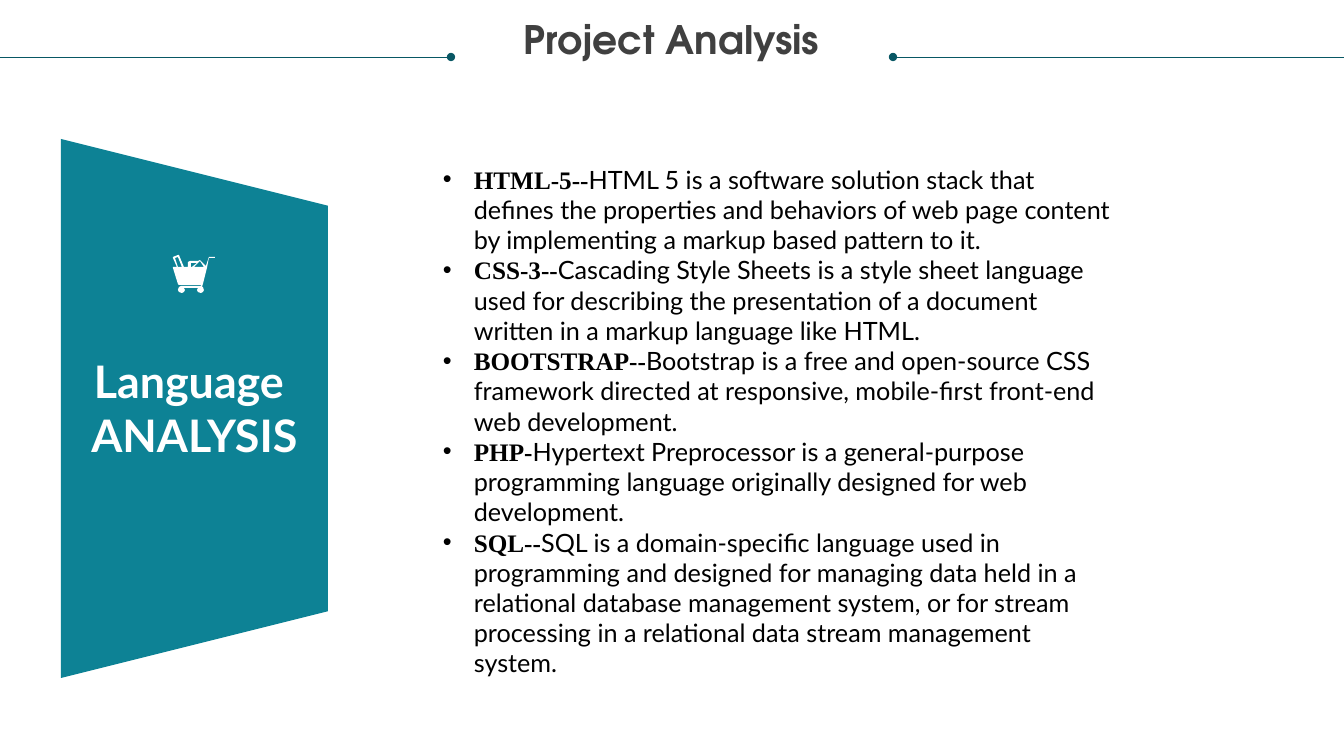
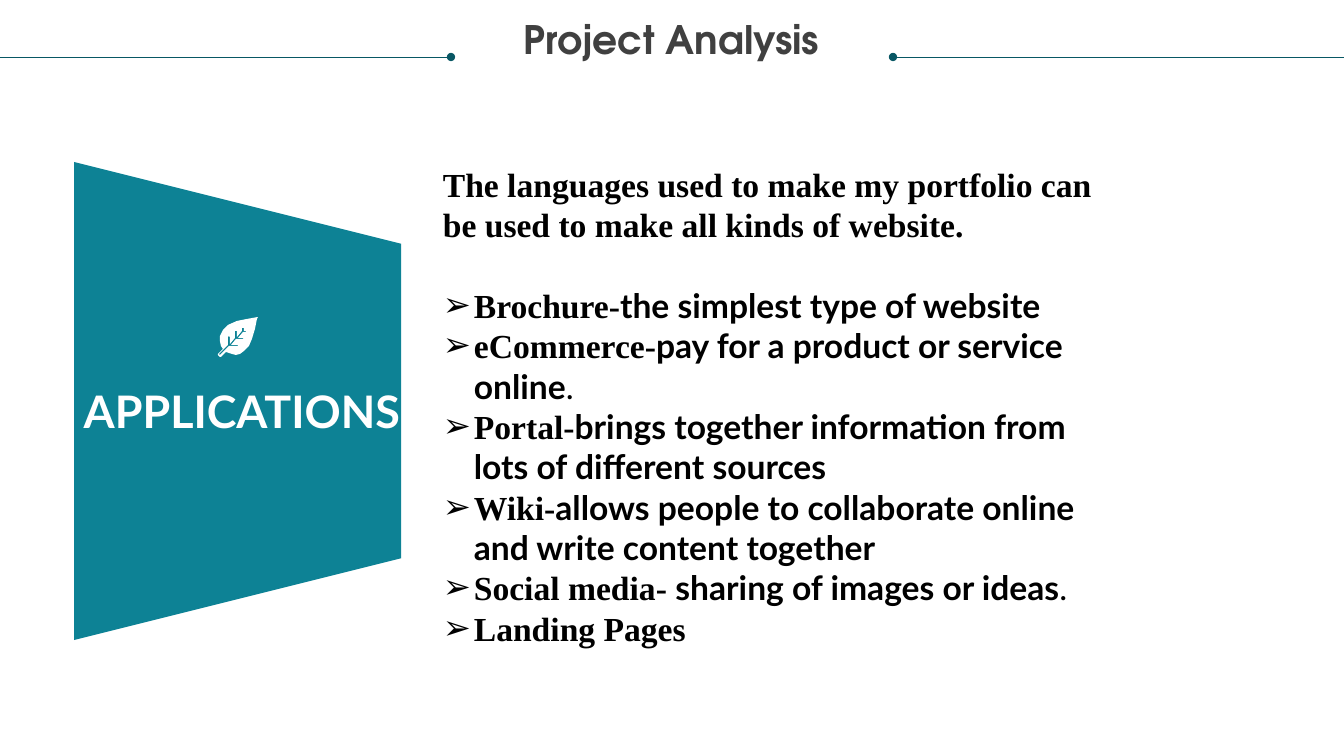
from lxml.etree import SubElement as Sub
from pptx import Presentation
from pptx.dml.color import RGBColor
from pptx.enum.shapes import MSO_CONNECTOR as Conn, MSO_SHAPE as Shape
from pptx.enum.text import PP_ALIGN as Align
from pptx.oxml.ns import qn
from pptx.util import Pt

PX = 914400 / 100.8
WIDE, HIGH = 1344, 756
TEAL, DARK, GREY, WHITE, BLACK = "0D8295", "085764", "404040", "FFFFFF", "000000"
LATO, TIMES, HEAD = "Lato", "Times New Roman", "TeX Gyre Adventor"

TITLE = "Project Analysis"
TITLE_BOX = (25, 21, 1293, 86)
BODY_BOX = (433, 159, 694, 499)
RULE_Y = 57
RULES = [(893, WIDE, "headEnd"), (0, 451, "tailEnd")]
INDENT = 31

CART = [
    [(215, 257), (209, 257), (206, 266), (200, 260), (198, 261), (190, 261),
     (188, 262), (188, 267), (184, 267), (179, 255), (178, 255), (173, 257),
     (173, 258), (177, 267), (173, 267), (173, 268), (178, 284), (179, 285),
     (201, 285), (201, 286), (181, 286), (179, 287), (178, 290), (179, 292),
     (182, 293), (184, 292), (185, 290), (184, 288), (198, 288), (197, 290),
     (198, 292), (201, 293), (203, 292), (204, 290), (203, 287), (202, 287),
     (203, 284), (207, 268), (209, 258), (215, 258)],
    [(194, 267), (199, 262), (200, 261), (204, 267)],
    [(191, 267), (191, 263), (197, 263), (192, 267)],
    [(178, 267), (175, 258), (178, 257), (182, 267)],
]
LEAF = [
    [(258, 317), (247, 319), (237, 321), (228, 325), (223, 330), (220, 336),
     (220, 341), (221, 346), (223, 349), (218, 354), (218, 355), (220, 357),
     (221, 357), (226, 352), (232, 354), (236, 355), (240, 354), (244, 351),
     (249, 346), (252, 339), (255, 329), (257, 319)],
    [(246, 332), (243, 332), (238, 338), (243, 338), (244, 339), (236, 339),
     (231, 345), (238, 345), (238, 346), (229, 346), (220, 355), (219, 354),
     (228, 345), (228, 337), (229, 336), (230, 337), (230, 344), (235, 338),
     (235, 331), (237, 331), (237, 337), (242, 331), (242, 328), (244, 328),
     (244, 331), (246, 331)],
]

# Each item is a term, its text and a plain ending.
SLIDES = [
    dict(panel=(61, 139, 267, 539), icon=CART,
         label=["Language ", "ANALYSIS"], label_box=(90, 354, 209, 109),
         size=18, bold=False, bullet="•", intro="", items=[
             ("HTML-5--", "HTML 5 is a software solution stack that defines the "
              "properties and behaviors of web page content by implementing a "
              "markup based pattern to it.", ""),
             ("CSS-3--", "Cascading Style Sheets is a style sheet language used "
              "for describing the presentation of a document written in a markup "
              "language like HTML.", ""),
             ("BOOTSTRAP--", "Bootstrap is a free and open-source CSS framework "
              "directed at responsive, mobile-first front-end web development.", ""),
             ("PHP-", "Hypertext Preprocessor is a general-purpose programming "
              "language originally designed for web development.", ""),
             ("SQL--", "SQL is a domain-specific language used in programming and "
              "designed for managing data held in a relational database management "
              "system, or for stream processing in a relational data stream "
              "management system.", "")]),
    dict(panel=(74, 162, 327, 478), icon=LEAF,
         label=["APPLICATIONS"], label_box=(82, 384, 320, 54),
         size=24, bold=True, bullet="➢",
         intro="The languages used to make my portfolio can be used to make all "
               "kinds of website.", items=[
             ("Brochure-", "the simplest type of website", ""),
             ("eCommerce-", "pay for a product or service online", "."),
             ("Portal-", "brings together information from lots of different "
              "sources", ""),
             ("Wiki-", "allows people to collaborate online and write content "
              "together", ""),
             ("Social media-\u00a0", "sharing of images or ideas", "."),
             ("Landing Pages", "", "")]),
]


def px(*nums):
    """Turn pixels into EMU."""
    return [round(n * PX) for n in nums]


def color(code):
    """Make a colour from a hex string."""
    return RGBColor.from_string(code)


def paint(shape, code):
    """Give a shape a flat fill with no line or shadow."""
    shape.shadow.inherit = False
    shape.fill.solid()
    shape.fill.fore_color.rgb = color(code)
    shape.line.fill.background()


def add_run(para, text, size, font, code, bold=True):
    """Add one styled run, if it has text."""
    if text:
        run = para.add_run()
        run.text = text
        run.font.size, run.font.name, run.font.bold = Pt(size), font, bold
        run.font.color.rgb = color(code)


def add_frame(slide, box, inset=True):
    """Add a wrapping text box and return its frame."""
    frame = slide.shapes.add_textbox(*px(*box)).text_frame
    frame.word_wrap = True
    if not inset:
        frame.margin_left = frame.margin_right = 0
        frame.margin_top = frame.margin_bottom = 0
    return frame


def add_paras(frame, count):
    """Return the given number of paragraphs."""
    return [frame.paragraphs[0]] + [frame.add_paragraph() for _ in range(count - 1)]


def add_rule(slide, left, right, end):
    """Draw a header line with a dot at one end."""
    rule = slide.shapes.add_connector(
        Conn.STRAIGHT, *px(left, RULE_Y, right, RULE_Y))
    rule.line.color.rgb = color(DARK)
    rule.line.width = Pt(0.5)
    Sub(rule.line._get_or_add_ln(), qn("a:" + end), type="oval")
    Sub(rule._element.spPr, qn("a:effectLst"))


def add_header(slide):
    """Draw the title between its two lines."""
    for rule in RULES:
        add_rule(slide, *rule)
    para = add_frame(slide, TITLE_BOX, inset=False).paragraphs[0]
    para.alignment, para.line_spacing = Align.CENTER, 0.9
    add_run(para, TITLE, 28, HEAD, GREY)


def add_panel(slide, left, top, wide, high):
    """Draw a trapezoid turned so that its base is on the left."""
    shift = (high - wide) / 2
    panel = slide.shapes.add_shape(
        Shape.TRAPEZOID, *px(left - shift, top + shift, high, wide))
    panel.rotation = 90
    paint(panel, TEAL)


def add_label(slide, lines, box):
    """Write the centred panel label."""
    frame = add_frame(slide, box, inset=False)
    for para, line in zip(add_paras(frame, len(lines)), lines):
        para.alignment = Align.CENTER
        add_run(para, line, 32, LATO, WHITE)


def add_icon(slide, loops):
    """Draw an outline whose later loops are holes."""
    pen = slide.shapes.build_freeform(*loops[0][0], scale=PX)
    for loop in loops:
        pen.move_to(*loop[0])
        pen.add_line_segments(loop[1:], close=True)
    paint(pen.convert_to_shape(), WHITE)


def add_bullet(para, mark):
    """Give a paragraph a hanging bullet."""
    props = para._p.get_or_add_pPr()
    step = px(INDENT)[0]
    props.set("marL", str(step))
    props.set("indent", str(-step))
    Sub(props, qn("a:buFont"), typeface="Arial")
    Sub(props, qn("a:buChar"), char=mark)


def add_body(slide, intro, items, size, bold, bullet):
    """Write the intro and the bulleted items."""
    paras = add_paras(add_frame(slide, BODY_BOX), len(items) + bool(intro))
    if intro:
        first = paras.pop(0)
        first.space_after = Pt(size * 1.2)
        add_run(first, intro, size, TIMES, BLACK)
    for para, (term, text, end) in zip(paras, items):
        add_bullet(para, bullet)
        add_run(para, term, size, TIMES, BLACK)
        add_run(para, text, size, LATO, BLACK, bold)
        add_run(para, end, size, LATO, BLACK, False)


deck = Presentation()
deck.slide_width, deck.slide_height = px(WIDE, HIGH)
for page in SLIDES:
    slide = deck.slides.add_slide(deck.slide_layouts[6])
    add_header(slide)
    add_panel(slide, *page["panel"])
    add_label(slide, page["label"], page["label_box"])
    add_icon(slide, page["icon"])
    add_body(slide, page["intro"], page["items"], page["size"], page["bold"],
             page["bullet"])
deck.save("out.pptx")
